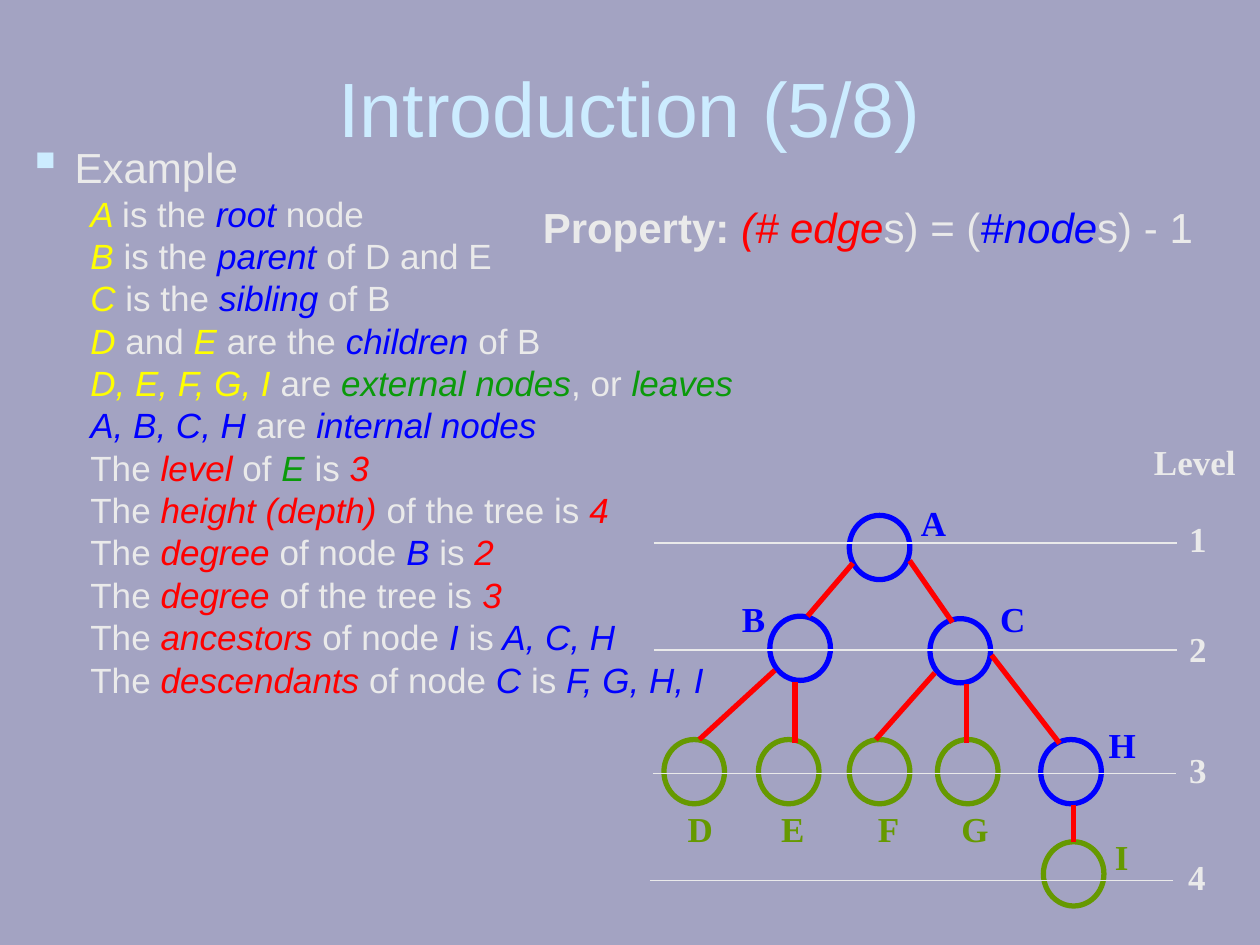
import pptx
import pptx.util
import pptx.dml.color
import pptx.enum.shapes
import pptx.enum.text
import pptx.oxml.ns
import lxml.etree

Pt = pptx.util.Pt
RGBColor = pptx.dml.color.RGBColor

BACKGROUND = RGBColor(0xA3, 0xA3, 0xC2)
TITLE = RGBColor(0xCC, 0xEC, 0xFF)
TEXT = RGBColor(0xEA, 0xEA, 0xEA)
YELLOW = RGBColor(0xFF, 0xFF, 0x00)
BLUE = RGBColor(0x00, 0x00, 0xFF)
RED = RGBColor(0xFF, 0x00, 0x00)
GREEN = RGBColor(0x0A, 0x9A, 0x0A)
OLIVE = RGBColor(0x66, 0x99, 0x00)

STATEMENTS = [
    [("A ", YELLOW), ("is the ", TEXT), ("root ", BLUE), ("node", TEXT)],
    [("B ", YELLOW), ("is the ", TEXT), ("parent ", BLUE), ("of D and E", TEXT)],
    [("C ", YELLOW), ("is the ", TEXT), ("sibling ", BLUE), ("of B", TEXT)],
    [("D ", YELLOW), ("and ", TEXT), ("E ", YELLOW), ("are the ", TEXT),
     ("children ", BLUE), ("of B", TEXT)],
    [("D, E, F, G, I ", YELLOW), ("are ", TEXT), ("external nodes", GREEN),
     (", or ", TEXT), ("leaves", GREEN)],
    [("A, B, C, H ", BLUE), ("are ", TEXT), ("internal nodes", BLUE)],
    [("The ", TEXT), ("level", RED), (" of ", TEXT), ("E ", GREEN),
     ("is ", TEXT), ("3", RED)],
    [("The ", TEXT), ("height (depth) ", RED), ("of the tree is ", TEXT), ("4", RED)],
    [("The ", TEXT), ("degree ", RED), ("of node ", TEXT), ("B ", BLUE),
     ("is ", TEXT), ("2", RED)],
    [("The ", TEXT), ("degree ", RED), ("of the tree is ", TEXT), ("3", RED)],
    [("The ", TEXT), ("ancestors ", RED), ("of node ", TEXT), ("I ", BLUE),
     ("is", TEXT), (" A, C, H", BLUE)],
    [("The ", TEXT), ("descendants ", RED), ("of node ", TEXT), ("C ", BLUE),
     ("is ", TEXT), ("F, G, H, I", BLUE)],
]

NODE_WIDTH, NODE_HEIGHT = 34.6, 36.7
LABEL_HEIGHT = 31.7
LEAF_TOP, LEAF_LABEL_TOP = 174.6, 209.9

# name, colour, node left and top, label left, top and width
NODES = [
    ("A", BLUE, 113.3, 46.5, 147.1, 35, 28.8),
    ("B", BLUE, 67.9, 104.1, 44.9, 89.7, 27.4),
    ("C", BLUE, 159.4, 105.5, 192.5, 89.7, 28.8),
    ("D", OLIVE, 7.4, LEAF_TOP, 13.9, LEAF_LABEL_TOP, 28.8),
    ("E", OLIVE, 61.4, LEAF_TOP, 67.2, LEAF_LABEL_TOP, 27.4),
    ("F", OLIVE, 113.3, LEAF_TOP, 122.6, LEAF_LABEL_TOP, 26.6),
    ("G", OLIVE, 163.7, LEAF_TOP, 170.2, LEAF_LABEL_TOP, 29.5),
    ("H", BLUE, 222.7, LEAF_TOP, 254.4, 161.7, 29.5),
    ("I", OLIVE, 224.2, 233, 258, 225.8, 22.3),
]

EDGES = [
    (115.4, 73.8, 89.5, 104.1),     # A to B
    (147.8, 72.4, 172.3, 107.7),    # A to C
    (70.8, 135, 27.6, 174.6),       # B to D
    (82.3, 141.5, 82.3, 176.8),     # B to E
    (162.2, 136.5, 128.4, 174.6),   # C to F
    (180.2, 143, 180.2, 176.8),     # C to G
    (194.6, 126.4, 233.5, 176.8),   # C to H
    (241.4, 212.1, 241.4, 233),     # H to I
]

# line left, line height, number left, number top
LEVELS = [
    (1.7, 62.3, 300.5, 44.3),
    (1.7, 123.5, 300.5, 107),
    (1, 194.1, 300.5, 176.1),
    (-0.5, 255.3, 299.8, 237.3),
]
LEVEL_LENGTH = 298.8


def add_text_box(page, left, top, width, height, wrap=False):
    box = page.shapes.add_textbox(Pt(left), Pt(top), Pt(width), Pt(height))
    box.text_frame.word_wrap = wrap
    return box.text_frame


def add_span(para, text, color, size, font="Arial", bold=False, italic=False):
    span = para.add_run()
    span.text = text
    span.font.name = font
    span.font.size = Pt(size)
    span.font.bold = bold
    span.font.italic = italic
    span.font.color.rgb = color


def add_line(page, left, top, right, bottom, color, width):
    line = page.shapes.add_connector(
        pptx.enum.shapes.MSO_CONNECTOR.STRAIGHT,
        Pt(left), Pt(top), Pt(right), Pt(bottom))
    line.line.color.rgb = color
    line.line.width = Pt(width)
    lxml.etree.SubElement(line._element.spPr, pptx.oxml.ns.qn("a:effectLst"))


def set_indent(para, margin, first_line):
    properties = para._p.get_or_add_pPr()
    properties.set("marL", str(Pt(margin)))
    properties.set("indent", str(Pt(first_line)))
    return properties


def add_square_bullet(properties):
    def add(tag, parent=properties, **attributes):
        return lxml.etree.SubElement(parent, pptx.oxml.ns.qn(tag), **attributes)

    add("a:srgbClr", add("a:buClr"), val=str(TITLE))
    add("a:buSzPct", val="115000")
    add("a:buChar", char="▪")


def add_title(page, left, top, width, height):
    frame = add_text_box(page, left, top, width, height, wrap=True)
    frame.vertical_anchor = pptx.enum.text.MSO_ANCHOR.MIDDLE
    para = frame.paragraphs[0]
    para.alignment = pptx.enum.text.PP_ALIGN.CENTER
    add_span(para, "Introduction (5/8)", TITLE, 44)


def add_statements(page, left, top, width, height):
    frame = add_text_box(page, left, top, width, height, wrap=True)
    heading = frame.paragraphs[0]
    add_square_bullet(set_indent(heading, 27, -27))
    heading.line_spacing = 0.8
    add_span(heading, "Example", TEXT, 24)
    for statement in STATEMENTS:
        para = frame.add_paragraph()
        para.level = 1
        set_indent(para, 58.5, -22.5)
        para.line_spacing = 0.8
        para.space_before = Pt(5)
        for text, color in statement:
            add_span(para, text, color, 20, italic=color != TEXT)


def add_property(page, left, top, width, height):
    para = add_text_box(page, left, top, width, height).paragraphs[0]
    add_span(para, "Property: ", TEXT, 24, bold=True)
    for text, color in [("(# edge", RED), ("s) = (", TEXT),
                        ("#node", BLUE), ("s) - 1", TEXT)]:
        add_span(para, text, color, 24, italic=color != TEXT)


def add_label(page, text, color, left, top, width):
    para = add_text_box(page, left, top, width, LABEL_HEIGHT).paragraphs[0]
    add_span(para, text, color, 20, "Times New Roman", bold=True)


def add_tree(page, left, top):
    for _, color, x, y, *_ in NODES:
        node = page.shapes.add_shape(
            pptx.enum.shapes.MSO_SHAPE.OVAL,
            Pt(left + x), Pt(top + y), Pt(NODE_WIDTH), Pt(NODE_HEIGHT))
        node.shadow.inherit = False
        node.fill.background()
        node.line.color.rgb = color
        node.line.width = Pt(3)
    for x1, y1, x2, y2 in EDGES:
        add_line(page, left + x1, top + y1, left + x2, top + y2, RED, 3)
    for name, color, _, _, x, y, width in NODES:
        add_label(page, name, color, left + x, top + y, width)


def add_levels(page, left, top):
    add_label(page, "Level", TEXT, left + 280.3, top, 61.2)
    for number, (line_x, line_y, x, y) in enumerate(LEVELS, start=1):
        start, height = left + line_x, top + line_y
        add_line(page, start, height, start + LEVEL_LENGTH, height, TEXT, 0.75)
        add_label(page, str(number), TEXT, left + x, top + y, 24.5)


def main():
    deck = pptx.Presentation()
    deck.slide_width, deck.slide_height = Pt(720), Pt(540)
    page = deck.slides.add_slide(deck.slide_layouts[6])
    page.background.fill.solid()
    page.background.fill.fore_color.rgb = BACKGROUND
    add_title(page, 36, 16, 648, 90)
    add_statements(page, 8.6, 82.8, 648, 323.3)
    add_tree(page, 372, 248)
    add_levels(page, 372, 248)
    add_property(page, 303.1, 111.6, 385.9, 36)
    deck.save("out.pptx")


if __name__ == "__main__":
    main()
